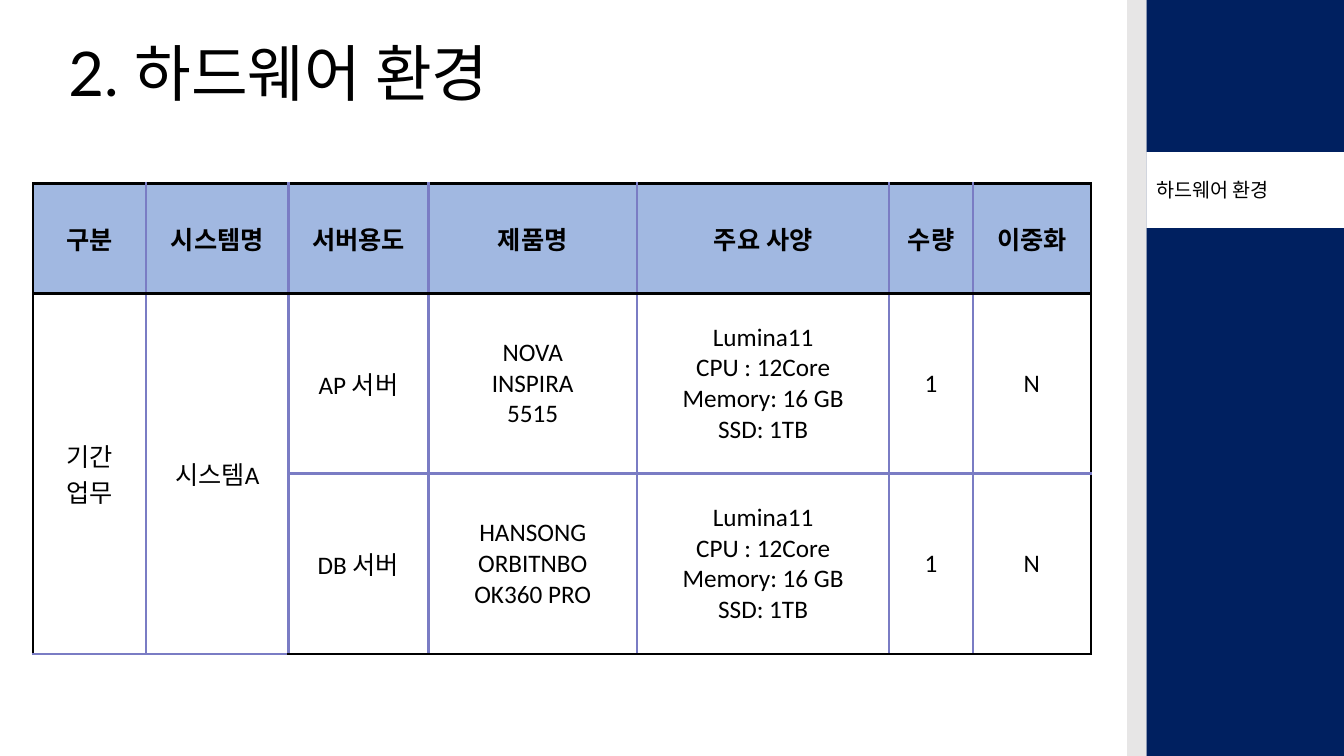
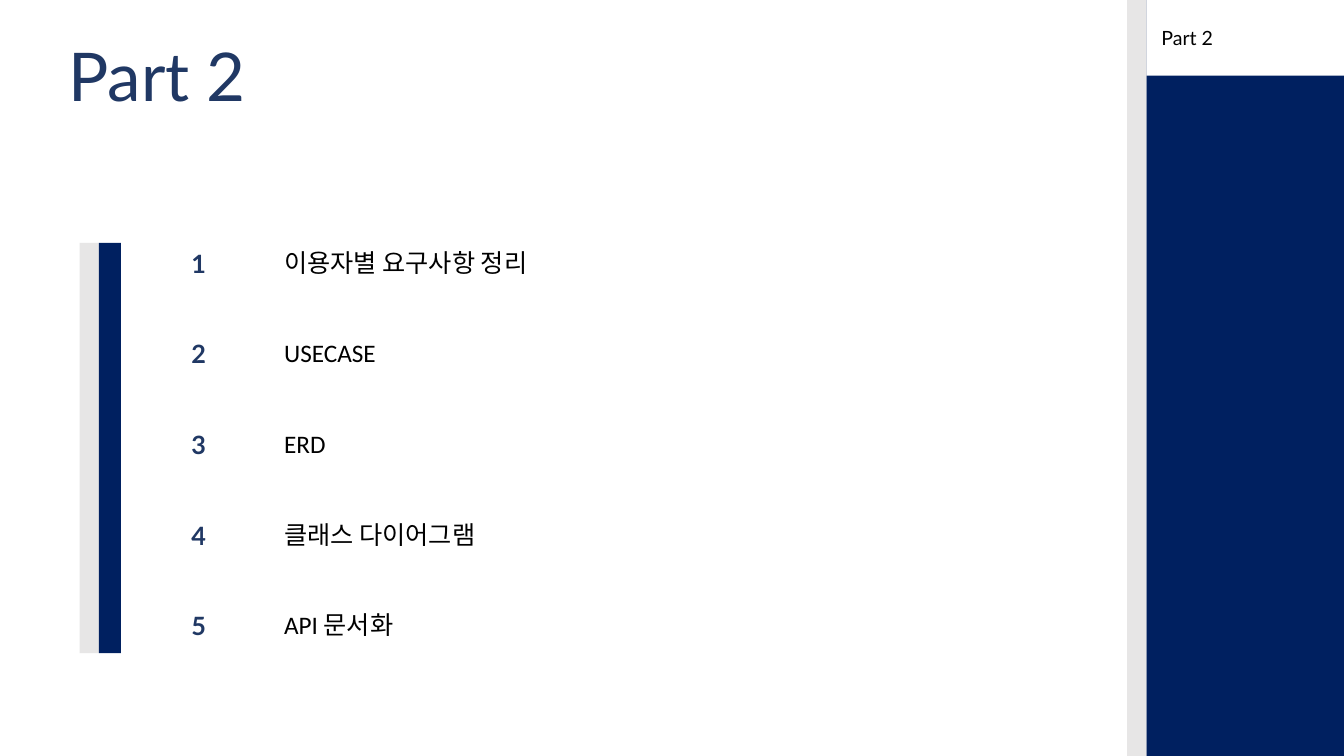
from itertools import accumulate

from lxml.etree import SubElement
from pptx import Presentation
from pptx.dml.color import RGBColor
from pptx.enum.shapes import MSO_SHAPE
from pptx.enum.text import MSO_ANCHOR, PP_ALIGN
from pptx.oxml.ns import qn
from pptx.util import Inches, Pt

NAVY, TITLE_BLUE, GREY = "002060", "203864", "E7E6E6"
BLACK, WHITE = "000000", "FFFFFF"
HEADER_FILL, GRID = "A1B8E1", "7A7CC4"
HEADING_FONT, BODY_FONT = "Lato", "Calibri"
SLIDE_WIDTH, SLIDE_HEIGHT = 13.33, 7.5
BAND_LEFT, STRIPE_WIDTH, TAB_HEIGHT = 11.37, 0.19, 0.75

HARDWARE_TITLE = "2. 하드웨어 환경"
HARDWARE_TAB = "하드웨어 환경"
SERVER_SPEC = "Lumina11\nCPU : 12Core\nMemory: 16 GB\nSSD: 1TB"
HARDWARE_ROWS = [
    ["구분", "시스템명", "서버용도", "제품명", "주요 사양", "수량", "이중화"],
    ["기간\n업무", "시스템A", "AP 서버", "NOVA\nINSPIRA\n5515", SERVER_SPEC, "1", "N"],
    ["", "", "DB 서버", "HANSONG\nORBITNBO\nOK360 PRO", SERVER_SPEC, "1", "N"],
]
COLUMN_WIDTHS = [1.12, 1.41, 1.39, 2.07, 2.5, 0.83, 1.17]
ROW_HEIGHTS = [1.09, 1.79, 1.79]
MERGED_COLUMNS = [0, 1]

PART_TITLE = "Part 2"
PART_TOPICS = ["이용자별 요구사항 정리", "USECASE", "ERD", "클래스 다이어그램", "API 문서화"]
LIST_TOP, LIST_HEIGHT, TOPIC_STEP = 2.41, 4.07, 0.9


def rgb(color):
    return RGBColor.from_string(color)


def write(frame, text, *, size=18, font=BODY_FONT, color=BLACK, bold=False,
          align=PP_ALIGN.LEFT, spacing=1.0):
    """Fill a text frame, one paragraph for each line of text."""
    frame.text = text
    frame.word_wrap = True
    for paragraph in frame.paragraphs:
        paragraph.alignment = align
        paragraph.line_spacing = spacing
        for run in paragraph.runs:
            run.font.size = Pt(size)
            run.font.name = font
            run.font.bold = bold
            run.font.color.rgb = rgb(color)


def add_text(slide, text, left, top, width, height, **text_format):
    box = slide.shapes.add_textbox(*map(Inches, (left, top, width, height)))
    write(box.text_frame, text, **text_format)


def add_bar(slide, left, top, width, height, color):
    bar = slide.shapes.add_shape(
        MSO_SHAPE.RECTANGLE, *map(Inches, (left, top, width, height)))
    bar.shadow.inherit = False
    bar.fill.solid()
    bar.fill.fore_color.rgb = rgb(color)
    bar.line.fill.background()


def add_slide(presentation, title, tab, tab_top, *, tab_indent=0.0, **title_format):
    """Add a slide with the title, the side band and its white tab."""
    slide = presentation.slides.add_slide(presentation.slide_layouts[6])
    band_width = SLIDE_WIDTH - BAND_LEFT
    add_bar(slide, BAND_LEFT, 0, band_width, SLIDE_HEIGHT, NAVY)
    add_bar(slide, BAND_LEFT, tab_top, band_width, TAB_HEIGHT, WHITE)
    add_text(slide, tab, BAND_LEFT + tab_indent, tab_top + 0.21, 1.8, 0.34,
             size=14, font=HEADING_FONT)
    add_bar(slide, BAND_LEFT - STRIPE_WIDTH, 0, STRIPE_WIDTH, SLIDE_HEIGHT, GREY)
    add_text(slide, title, 0.58, 0.38, 5.61, 0.75,
             font=HEADING_FONT, spacing=0.9, **title_format)
    return slide


def set_borders(cell, colors):
    """Draw the cell borders; colors maps L, R, T and B, in that order."""
    properties = cell._tc.get_or_add_tcPr()
    for side, color in colors.items():
        line = SubElement(properties, qn(f"a:ln{side}"), w=str(Pt(2)))
        fill = SubElement(line, qn("a:solidFill"))
        SubElement(fill, qn("a:srgbClr"), val=color)


def add_hardware_table(slide):
    row_count, column_count = len(ROW_HEIGHTS), len(COLUMN_WIDTHS)
    last_row, last_column = row_count - 1, column_count - 1
    table = slide.shapes.add_table(
        row_count, column_count, Inches(0.33), Inches(1.82),
        Inches(sum(COLUMN_WIDTHS)), Inches(sum(ROW_HEIGHTS))).table
    table.first_row = table.horz_banding = False
    for column, width in zip(table.columns, COLUMN_WIDTHS):
        column.width = Inches(width)
    for row, height in zip(table.rows, ROW_HEIGHTS):
        row.height = Inches(height)

    for row_index, texts in enumerate(HARDWARE_ROWS):
        is_header = row_index == 0
        for column_index, text in enumerate(texts):
            cell = table.cell(row_index, column_index)
            black_sides = {
                "L": column_index == 0,
                "R": column_index == last_column,
                "T": row_index <= 1,
                "B": row_index in (0, last_row),
            }
            set_borders(cell, {side: BLACK if is_black else GRID
                               for side, is_black in black_sides.items()})
            cell.fill.solid()
            cell.fill.fore_color.rgb = rgb(HEADER_FILL if is_header else WHITE)
            cell.vertical_anchor = MSO_ANCHOR.MIDDLE
            write(cell.text_frame, text, bold=is_header, align=PP_ALIGN.CENTER)
    for column_index in MERGED_COLUMNS:
        table.cell(1, column_index).merge(table.cell(last_row, column_index))


def add_topic_list(slide):
    bars = [(STRIPE_WIDTH, GREY), (0.22, NAVY)]
    lefts = accumulate((width for width, _ in bars), initial=0.79)
    for left, (width, color) in zip(lefts, bars):
        add_bar(slide, left, LIST_TOP, width, LIST_HEIGHT, color)
    for index, topic in enumerate(PART_TOPICS):
        top = LIST_TOP + index * TOPIC_STEP
        add_text(slide, str(index + 1), 1.8, top, 0.36, 0.4,
                 font=HEADING_FONT, color=TITLE_BLUE, bold=True)
        add_text(slide, topic, 2.72, top - 0.01, 4, 0.4)


def main():
    presentation = Presentation()
    presentation.slide_width = Inches(SLIDE_WIDTH)
    presentation.slide_height = Inches(SLIDE_HEIGHT)

    hardware_slide = add_slide(presentation, HARDWARE_TITLE, HARDWARE_TAB, 1.51, size=44)
    add_hardware_table(hardware_slide)

    part_slide = add_slide(presentation, PART_TITLE, PART_TITLE, 0, tab_indent=0.05,
                           size=48, color=TITLE_BLUE)
    add_topic_list(part_slide)

    presentation.save("out.pptx")


if __name__ == "__main__":
    main()
